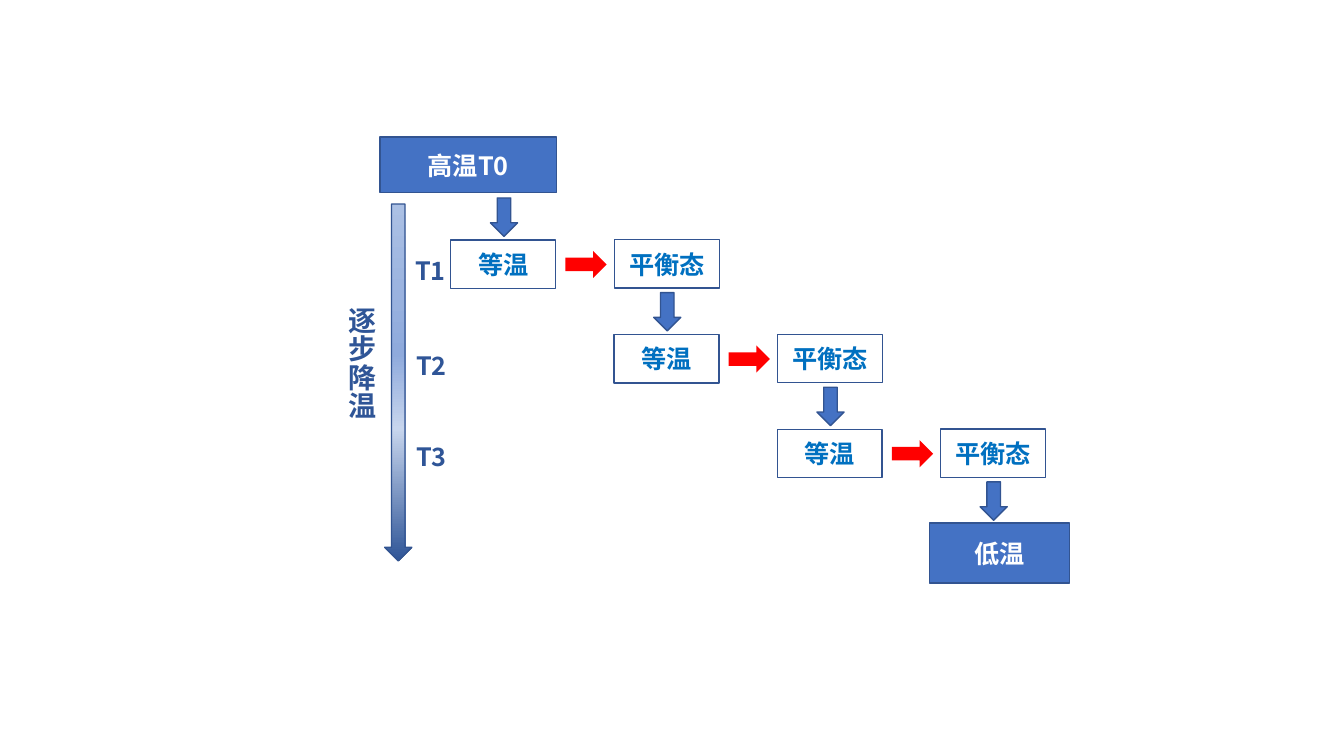
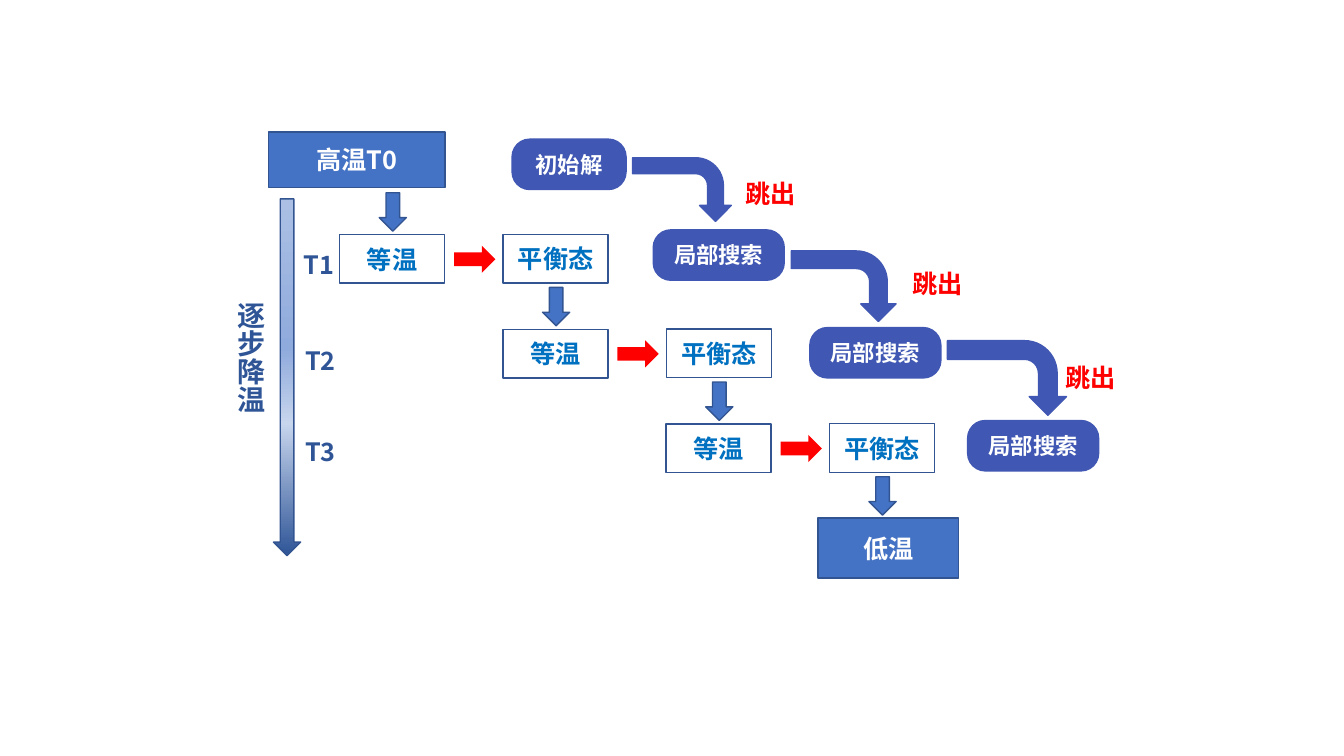
from pptx import Presentation
from pptx.util import Pt
from pptx.dml.color import RGBColor
from pptx.enum.shapes import MSO_SHAPE
from pptx.enum.text import MSO_ANCHOR, MSO_AUTO_SIZE, PP_ALIGN
from pptx.oxml import parse_xml
from pptx.oxml.ns import nsdecls, qn
from lxml import etree

RECT = MSO_SHAPE.RECTANGLE
ROUND = MSO_SHAPE.ROUNDED_RECTANGLE
ARROW = MSO_SHAPE.RIGHT_ARROW
BENT = MSO_SHAPE.BENT_ARROW
MIDDLE = MSO_ANCHOR.MIDDLE
CENTER = PP_ALIGN.CENTER
GROW = MSO_AUTO_SIZE.SHAPE_TO_FIT_TEXT

FONT = "Noto Sans CJK SC"
C = {
    "blue": "4472C4",
    "edge": "325491",
    "text": "0070C0",
    "navy": "2F5597",
    "indigo": "4057B3",
    "red": "FF0000",
    "white": "FFFFFF",
}
COOLING = [(0, "ABC0E4"), (42, "8FAADC"), (63, "C7D5ED"), (100, C["navy"])]


def write(tf, text, color, size):
    p = tf.paragraphs[0]
    r = p.add_run()
    r.text = text
    for name, value in {"name": FONT, "size": Pt(size), "bold": True}.items():
        setattr(r.font, name, value)
    r.font.color.rgb = RGBColor.from_string(C[color])
    etree.SubElement(r.font._element, qn("a:ea")).set("typeface", FONT)
    return p


def draw(kind, box, fill=None, line="edge", text="", color="white", size=18, rot=0):
    sp = s.shapes.add_shape(kind, *[Pt(v) for v in box])
    sp.shadow.inherit = False
    sp.rotation = rot
    if fill:
        sp.fill.solid()
        sp.fill.fore_color.rgb = RGBColor.from_string(C[fill])
    else:
        sp.fill.background()
    if line:
        sp.line.width = Pt(1)
        sp.line.color.rgb = RGBColor.from_string(C[line])
    else:
        sp.line.fill.background()
    if text:
        sp.text_frame.vertical_anchor = MIDDLE
        sp.text_frame.word_wrap = True
        write(sp.text_frame, text, color, size).alignment = CENTER
    return sp


prs = Presentation()
prs.slide_width, prs.slide_height = Pt(960), Pt(540)

LABELS = [
    ("T1", 289.4, 178.6, 37.4, 28.8, "navy", 18),
    ("T2", 290.2, 247, 37.4, 28.8, "navy", 18),
    ("T3", 290.2, 311.8, 37.4, 28.8, "navy", 18),
    ("逐步降温", 234.7, 212.4, 38.9, 87.8, "navy", 20),
]
JUMPS = [
    ("跳出", 525.6, 123.8, 51.1, 28.8, "red", 18),
    ("跳出", 644.4, 187.9, 51.1, 28.8, "red", 18),
    ("跳出", 753.8, 255.6, 51.1, 28.8, "red", 18),
]
SEARCHES = [
    ("初始解", 365.8, 99.4, 81.4),
    ("局部搜索", 466.6, 164.2, 93.6),
    ("局部搜索", 578.5, 234, 93.6),
    ("局部搜索", 691.2, 300.4, 93.6),
]
BENDS = [
    (464.4, 100.1, 45.4, 70.6),
    (577.4, 167, 50.4, 74.9),
    (692.6, 227.5, 53.3, 85),
]

for dx, dy, with_search in [(0, 0, False), (-79.4, -3.7, True)]:
    s = prs.slides.add_slide(prs.slide_layouts[6])

    draw(RECT, (271.4 + dx, 98 + dy, 126, 39.6), "blue", text="高温T0")
    draw(RECT, (663.8 + dx, 373.7 + dy, 100.1, 42.8), "blue", text="低温")

    for i in range(4):
        x, y = 322 + 116.6 * i + dx, 171.4 + 67.6 * i + dy
        draw(ARROW, (x + 24.3, y - 26, 27.4, 19.4), "blue", rot=90)
        if i < 3:
            draw(RECT, (x, y, 75, 34.6), text="等温", color="text")
            draw(ARROW, (x + 81.8, y + 7.8, 29.5, 19.4), "red", None)
            draw(RECT, (x + 116.8, y - 0.2, 75, 34.6), text="平衡态", color="text")

    sp = draw(ARROW, (157 + dx, 263.5 + dy, 254.9, 19.4), "blue", rot=90)
    stops = "".join(
        f'<a:gs pos="{pos * 1000}"><a:srgbClr val="{color}"/></a:gs>'
        for pos, color in COOLING
    )
    grad = parse_xml(
        f'<a:gradFill {nsdecls("a")} rotWithShape="1"><a:gsLst>{stops}</a:gsLst>'
        '<a:lin ang="0" scaled="0"/></a:gradFill>'
    )
    spPr = sp._element.spPr
    spPr.replace(spPr.find(qn("a:solidFill")), grad)

    labels = [(t, x + dx, y + dy, *rest) for t, x, y, *rest in LABELS]
    if with_search:
        labels += JUMPS
        for text, x, y, w in SEARCHES:
            sp = draw(ROUND, (x, y, w, 36), "indigo", "indigo", text, size=16)
            sp.adjustments[0] = 0.35
        for box in BENDS:
            draw(BENT, box, "indigo", "indigo", rot=90)

    for text, x, y, w, h, color, size in labels:
        tf = s.shapes.add_textbox(Pt(x), Pt(y), Pt(w), Pt(h)).text_frame
        for name, value in {"word_wrap": False, "auto_size": GROW}.items():
            setattr(tf, name, value)
        write(tf, text, color, size)
        if text == "逐步降温":
            tf._txBody.bodyPr.set("vert", "eaVert")

prs.save("out.pptx")
